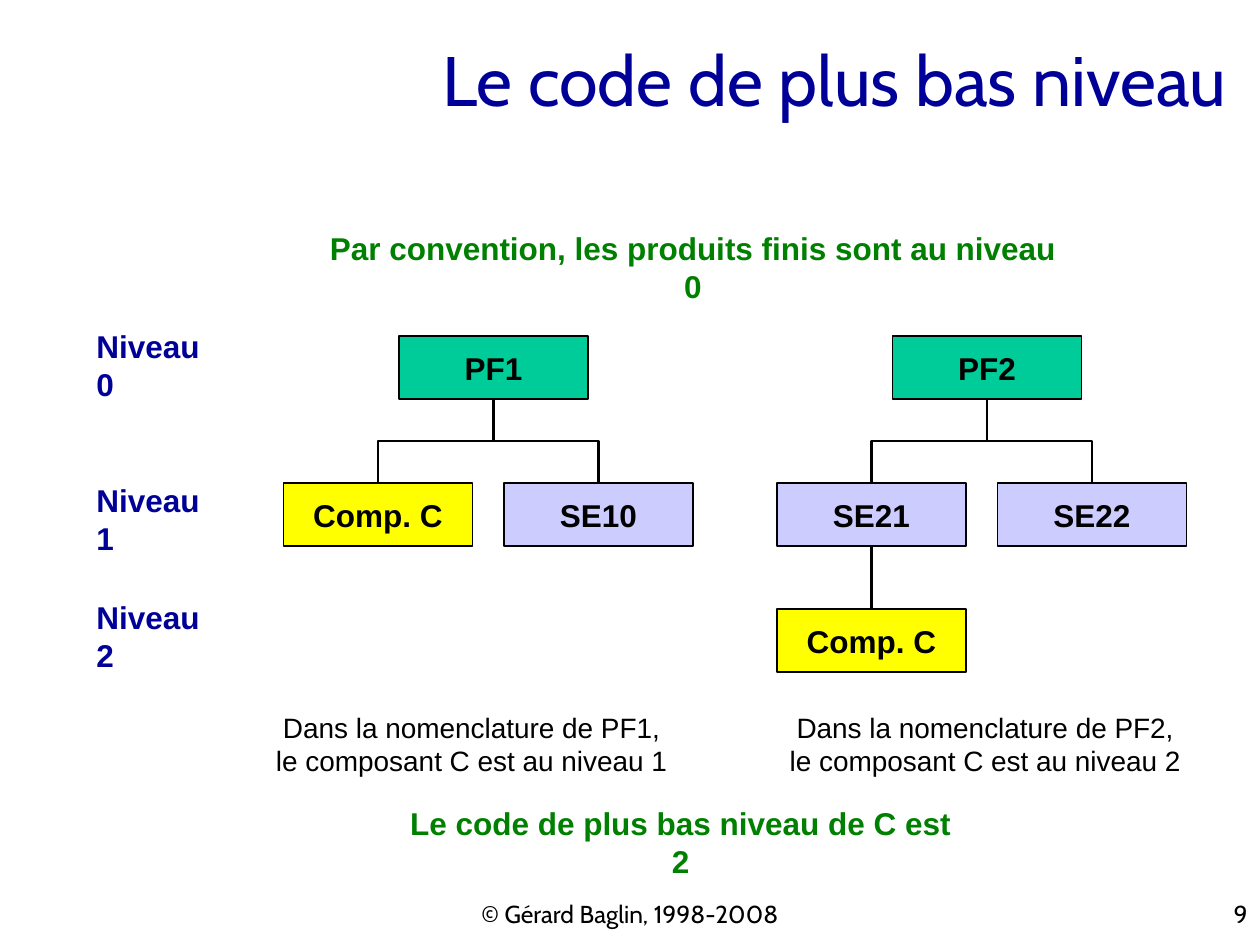
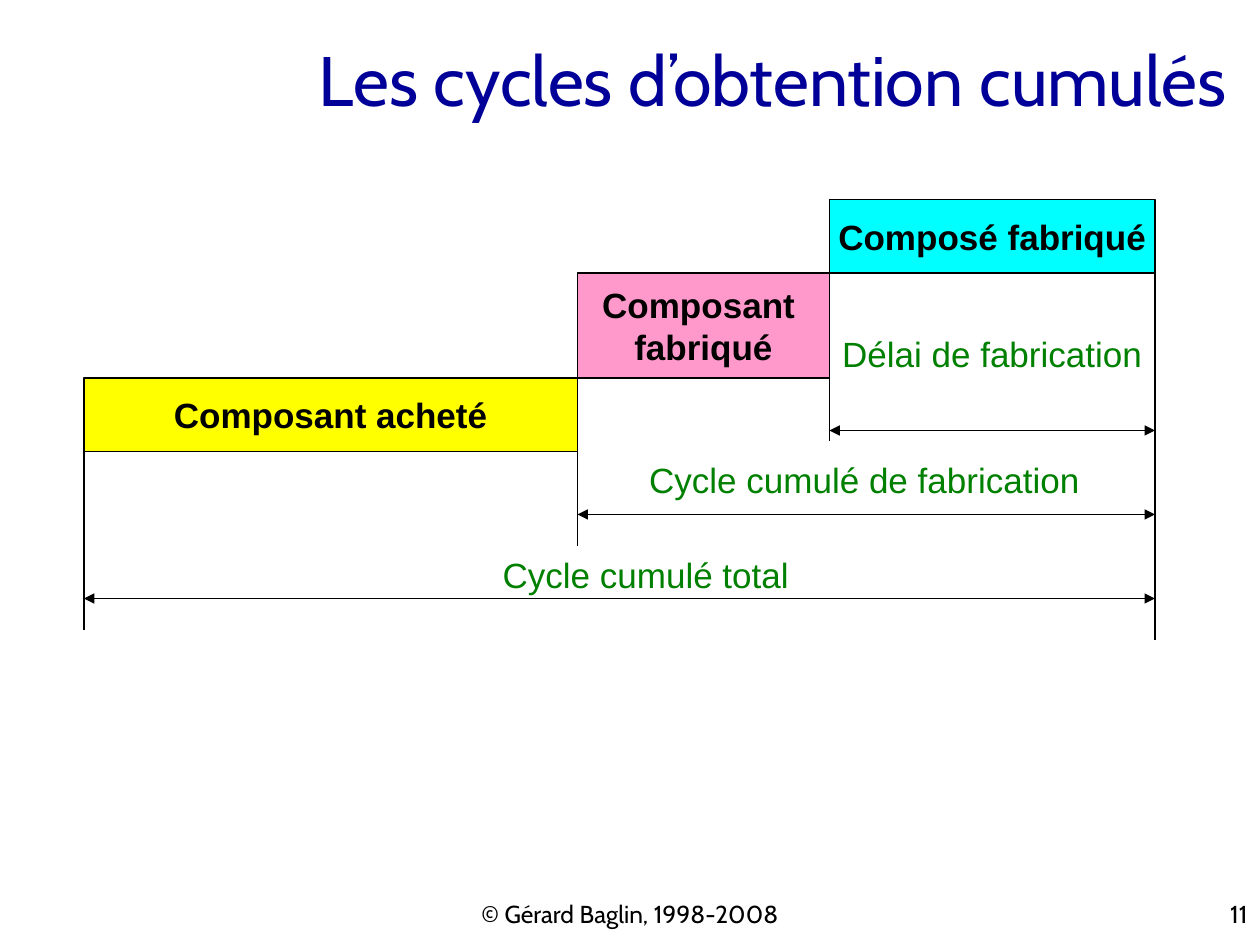
from pptx import Presentation
from pptx import util as u
from pptx.dml.color import RGBColor
from pptx.enum import shapes, text
from pptx.oxml.ns import qn
from lxml import etree

Pt = u.Pt
HUES = {
    "black": "000000", "navy": "000099", "leaf": "008000", "jade": "00CC99",
    "lilac": "CCCCFF", "yellow": "FFFF00", "pink": "FF99CC", "cyan": "00FFFF",
}
LEFT, MID, RIGHT = text.PP_ALIGN.LEFT, text.PP_ALIGN.CENTER, text.PP_ALIGN.RIGHT
STRAIGHT, ELBOW = shapes.MSO_CONNECTOR.STRAIGHT, shapes.MSO_CONNECTOR.ELBOW
TOP, BOTTOM = 0, 2


class Deck:
    def __init__(self):
        self.file = Presentation()
        self.file.slide_width, self.file.slide_height = Pt(720), Pt(540)

    def hue(self, name):
        return RGBColor.from_string(HUES[name])

    def letter(self, shape, words, size, hue, align, bold=False, face="Arial",
               anchor=text.MSO_ANCHOR.MIDDLE, wrap=False):
        frame = shape.text_frame
        frame.text = words
        frame.word_wrap = wrap
        frame.vertical_anchor = anchor
        for para in frame.paragraphs:
            para.alignment = align
            for run in para.runs:
                run.font.name, run.font.size = face, Pt(size)
                run.font.bold = bold
                run.font.color.rgb = self.hue(hue)

    def page(self, title, number):
        self.slide = self.file.slides.add_slide(self.file.slide_layouts[5])
        head = self.slide.shapes.title
        head.left, head.top, head.width, head.height = Pt(12), Pt(0), Pt(696), Pt(90)
        self.letter(head, title, 40, "navy", RIGHT, face="Cabin", wrap=True)
        head.text_frame.auto_size = text.MSO_AUTO_SIZE.NONE
        self.foot("© Gérard Baglin, 1998-2008", 246, 228, MID)
        self.foot(str(number), 570, 150, RIGHT)

    def foot(self, words, x, w, align):
        box = self.slide.shapes.add_textbox(Pt(x), Pt(510), Pt(w), Pt(18))
        self.letter(box, words, 14, "black", align, face="Cabin",
                    anchor=text.MSO_ANCHOR.TOP, wrap=True)

    def label(self, words, x, y, w, h, size, hue, align=MID, bold=False):
        box = self.slide.shapes.add_textbox(Pt(x), Pt(y), Pt(w), Pt(h))
        self.letter(box, words, size, hue, align, bold)
        box.text_frame.auto_size = text.MSO_AUTO_SIZE.SHAPE_TO_FIT_TEXT

    def block(self, words, x, y, w, h, fill, size):
        box = self.slide.shapes.add_shape(
            shapes.MSO_SHAPE.RECTANGLE, Pt(x), Pt(y), Pt(w), Pt(h))
        box.shadow.inherit = False
        box.fill.solid()
        box.fill.fore_color.rgb = self.hue(fill)
        box.line.color.rgb = self.hue("black")
        box.line.width = Pt(0.75)
        self.letter(box, words, size, "black", MID, bold=True)
        return box

    def line(self, x1, y1, x2, y2, width=0.75, arrows=False, kind=STRAIGHT):
        link = self.slide.shapes.add_connector(kind, Pt(x1), Pt(y1), Pt(x2), Pt(y2))
        link.line.color.rgb = self.hue("black")
        link.line.width = Pt(width)
        if arrows:
            pen = link._element.spPr.find(qn("a:ln"))
            for end in ("a:headEnd", "a:tailEnd"):
                etree.SubElement(pen, qn(end)).set("type", "triangle")
        etree.SubElement(link._element.spPr, qn("a:effectLst"))
        return link

    def join(self, top, low):
        x1, y1 = top.left + top.width // 2, top.top + top.height
        x2, y2 = low.left + low.width // 2, low.top
        ends = [u.Emu(size).pt for size in (x1, y1, x2, y2)]
        link = self.line(*ends, 1.5, kind=STRAIGHT if x1 == x2 else ELBOW)
        link.begin_connect(top, BOTTOM)
        link.end_connect(low, TOP)
        if x1 != x2:
            self.turn(link, x1, y1, x2, y2)

    def turn(self, link, x1, y1, x2, y2):
        w, h = y2 - y1, abs(x2 - x1)
        link.left, link.top = (x1 + x2 - w) // 2, (y1 + y2 - h) // 2
        link.width, link.height = w, h
        frame = link._element.spPr.find(qn("a:xfrm"))
        frame.set("flipH", "1" if x2 > x1 else "0")
        frame.set("rot", str((270 if x2 > x1 else 90) * 60000))


def levels(deck):
    deck.page("Le code de plus bas niveau", 9)
    for rank, y in enumerate((194, 282, 349)):
        deck.label(f"Niveau {rank}", 48, y, 88, 29, 18, "navy", LEFT, True)

    def node(words, x, y, fill):
        return deck.block(words, x, y, 108, 36, fill, 18)

    trees = (
        ("PF1", 228, (("Comp. C", 162, "yellow"), ("SE10", 288, "lilac")), 150.5, 1),
        ("PF2", 510, (("SE21", 444, "lilac"), ("SE22", 570, "lilac")), 444, 2),
    )
    for name, x, parts, note, rank in trees:
        root = node(name, x, 192, "jade")
        kids = [node(part, left, 276, fill) for part, left, fill in parts]
        for kid in kids:
            deck.join(root, kid)
        if rank == 2:
            deck.join(kids[0], node("Comp. C", 444, 348, "yellow"))
        deck.label(f"Dans la nomenclature de {name},\nle composant C est au niveau {rank}",
                   note, 402, 238, 46, 16, "black")
    deck.label("Par convention, les produits finis sont au niveau 0",
               174, 138, 444, 29, 18, "leaf", bold=True)
    deck.label("Le code de plus bas niveau de C est 2",
               220, 466.5, 338, 29, 18, "leaf", bold=True)


def cycles(deck):
    deck.page("Les cycles d’obtention cumulés", 11)
    start, make, build, end = 48, 330, 474, 660
    for x, y1, y2 in ((end, 132, 366), (build, 162, 252), (make, 186, 312)):
        deck.line(x, y1, x, y2)
    for x, y in ((make, 294), (start, 342), (build, 246)):
        deck.line(x, y, end, y, arrows=True)
    for words, x, y, w in (
        ("Délai de fabrication", build, 186, 186),
        ("Cycle cumulé de fabrication", 363.5, 258, 261),
        ("Cycle cumulé total", 280, 312, 178),
    ):
        deck.label(words, x, y, w, 32, 20, "leaf")
    for words, x, to, y, h, fill in (
        ("Composant acheté", start, make, 216, 42, "yellow"),
        ("Composant \vfabriqué", make, build, 156, 60, "pink"),
        ("Composé fabriqué", build, end, 114, 42, "cyan"),
    ):
        deck.block(words, x, y, to - x, h, fill, 20)
    deck.line(start, 228, start, 360)


def main():
    deck = Deck()
    levels(deck)
    cycles(deck)
    deck.file.save("out.pptx")


if __name__ == "__main__":
    main()
